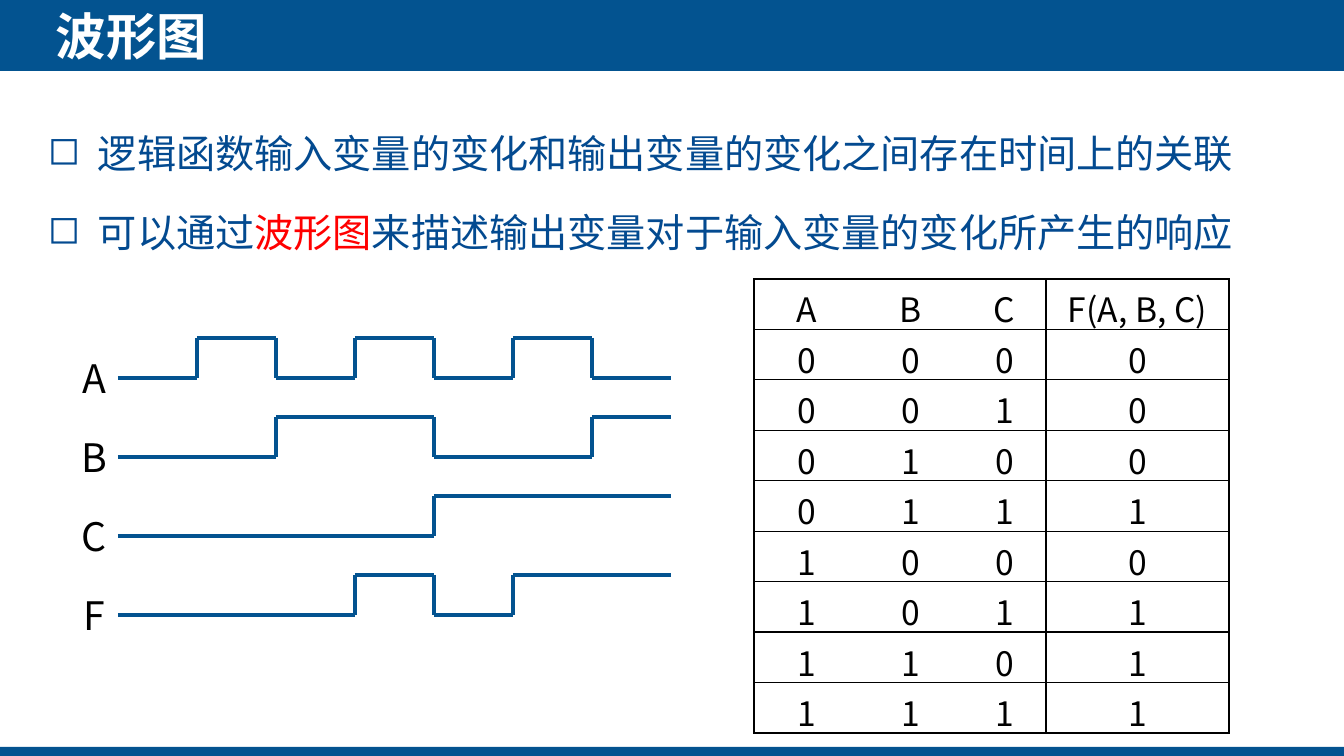
from itertools import groupby, product

from lxml.etree import SubElement
from pptx import Presentation
from pptx.dml.color import RGBColor
from pptx.enum.shapes import MSO_CONNECTOR, MSO_SHAPE
from pptx.enum.text import MSO_ANCHOR, PP_ALIGN
from pptx.oxml.ns import qn
from pptx.util import Emu, Pt

BLUE = RGBColor(0x03, 0x53, 0x90)
TEXT_BLUE = RGBColor(0x03, 0x4A, 0x90)
RED = RGBColor(0xFF, 0x00, 0x00)
BLACK = RGBColor(0x00, 0x00, 0x00)
WHITE = RGBColor(0xFF, 0xFF, 0xFF)
FONT = "Noto Sans CJK SC"
EMU_PER_PX = 914400 / 100.8
TRUTH_ROWS = [(a, b, c, int(a + b + c > 1)) for a, b, c in product((0, 1), repeat=3)]


def px(length):
    """Convert pixels to EMU."""
    return Emu(round(length * EMU_PER_PX))


def write_text(frame, paragraphs, size, color, bold=False, align=PP_ALIGN.LEFT,
               anchor=MSO_ANCHOR.TOP, spacing=None, after=0, bullet=None, indent=0):
    """Fill a text frame with paragraphs, each a list of (text, color or None) runs."""
    frame.word_wrap = True
    frame.vertical_anchor = anchor
    for index, runs in enumerate(paragraphs):
        paragraph = frame.add_paragraph() if index else frame.paragraphs[0]
        paragraph.alignment = align
        paragraph.space_after = Pt(after)
        if spacing:
            paragraph.line_spacing = spacing
        if bullet:
            properties = paragraph._p.get_or_add_pPr()
            properties.set("marL", str(px(indent)))
            properties.set("indent", str(-px(indent)))
            SubElement(properties, qn("a:buChar")).set("char", bullet)
        for text, run_color in runs:
            run = paragraph.add_run()
            run.text = text
            run.font.size = Pt(size)
            run.font.bold = bold
            run.font.name = FONT
            run.font.color.rgb = run_color or color
            SubElement(run.font._element, qn("a:ea")).set("typeface", FONT)


def add_bar(slide, left, top, width, height):
    """Add a plain blue bar behind the title."""
    bar = slide.shapes.add_shape(MSO_SHAPE.RECTANGLE, px(left), px(top), px(width), px(height))
    bar.shadow.inherit = False
    bar.fill.solid()
    bar.fill.fore_color.rgb = BLUE
    bar.line.fill.background()
    slide.shapes.title.element.addprevious(bar.element)


def add_title(slide, left, top, width, height):
    """Place and format the title placeholder."""
    title = slide.shapes.title
    title.left, title.top, title.width, title.height = map(px, (left, top, width, height))
    frame = title.text_frame
    frame.margin_left = frame.margin_right = frame.margin_top = frame.margin_bottom = 0
    write_text(frame, [[("波形图", None)]], 36, WHITE, bold=True, anchor=MSO_ANCHOR.MIDDLE)


def add_points(slide, left, top, width, height):
    """Add the two bulleted statements."""
    box = slide.shapes.add_textbox(px(left), px(top), px(width), px(height))
    points = [
        [("逻辑函数输入变量的变化和输出变量的变化之间存在时间上的关联", None)],
        [("可以通过", None), ("波形图", RED),
         ("来描述输出变量对于输入变量的变化所产生的响应", None)],
    ]
    write_text(box.text_frame, points, 28, TEXT_BLUE, spacing=1.5, after=6,
               bullet="◻", indent=50)


def set_borders(cell, sides):
    """Draw black one-point borders on the given sides and none on the others."""
    properties = cell._tc.get_or_add_tcPr()
    for side in "LRTB":
        line = SubElement(properties, qn(f"a:ln{side}"), w=str(Pt(1)))
        if side in sides:
            fill = SubElement(line, qn("a:solidFill"))
            SubElement(fill, qn("a:srgbClr"), val=str(BLACK))
        else:
            SubElement(line, qn("a:noFill"))


def add_truth_table(slide, left, top, width, height):
    """Add the truth table of the function."""
    rows = [("A", "B", "C", "F(A, B, C)"), *TRUTH_ROWS]
    frame = slide.shapes.add_table(len(rows), 4, px(left), px(top), px(width), px(height))
    table = frame.table
    table.first_row = table.horz_banding = False
    for column, column_width in zip(table.columns, (105, 104, 83, width - 292)):
        column.width = px(column_width)
    for row_index, values in enumerate(rows):
        for column_index, value in enumerate(values):
            cell = table.cell(row_index, column_index)
            set_borders(cell, ("LTB", "TB", "RTB", "LRTB")[column_index])
            cell.fill.background()
            anchor = MSO_ANCHOR.TOP if row_index else MSO_ANCHOR.MIDDLE
            cell.vertical_anchor = anchor
            write_text(cell.text_frame, [[(str(value), None)]], 24, BLACK,
                       align=PP_ALIGN.CENTER, anchor=anchor)


def add_line(slide, start_x, start_y, end_x, end_y):
    """Add one straight piece of a waveform."""
    line = slide.shapes.add_connector(MSO_CONNECTOR.STRAIGHT, px(start_x), px(start_y),
                                      px(end_x), px(end_y))
    line.line.color.rgb = BLUE
    line.line.width = Pt(2.25)
    SubElement(line.element.spPr, qn("a:effectLst"))


def add_waveform(slide, name, levels, left, top, width, height):
    """Add a signal name and its waveform, one equal step for each level."""
    label = slide.shapes.add_textbox(px(left), px(top + 11), px(46), px(57))
    write_text(label.text_frame, [[(name, None)]], 28, BLACK, align=PP_ALIGN.CENTER)
    start = left + 47
    step = (width - 47) / len(levels)
    x = start
    for index, (level, group) in enumerate(groupby(levels)):
        y = top if level else top + height
        if index:
            add_line(slide, x, top, x, top + height)
        end = x + step * len(list(group))
        add_line(slide, x, y, end, y)
        x = end


def add_timing_diagram(slide, left, top, width, height):
    """Add the waveforms of the inputs and the output, with A changing fastest."""
    pitch = height / 4
    c_levels, b_levels, a_levels, f_levels = zip(*TRUTH_ROWS[:7])
    signals = zip("ABCF", (a_levels, b_levels, c_levels, f_levels))
    for index, (name, levels) in enumerate(signals):
        add_waveform(slide, name, levels, left, top + index * pitch, width, 40)


def main():
    """Build and save the waveform slide."""
    presentation = Presentation()
    presentation.slide_width, presentation.slide_height = px(1344), px(756)
    slide = presentation.slides.add_slide(presentation.slide_layouts[5])
    add_bar(slide, 0, -3, 1344, 74)
    add_bar(slide, 0, 747, 1344, 10)
    add_title(slide, 56, 5, 864, 61)
    add_points(slide, 38, 101, 1268, 153)
    add_truth_table(slide, 754, 279, 475, 454)
    add_timing_diagram(slide, 71, 338, 600, 316)
    presentation.save("out.pptx")


if __name__ == "__main__":
    main()
